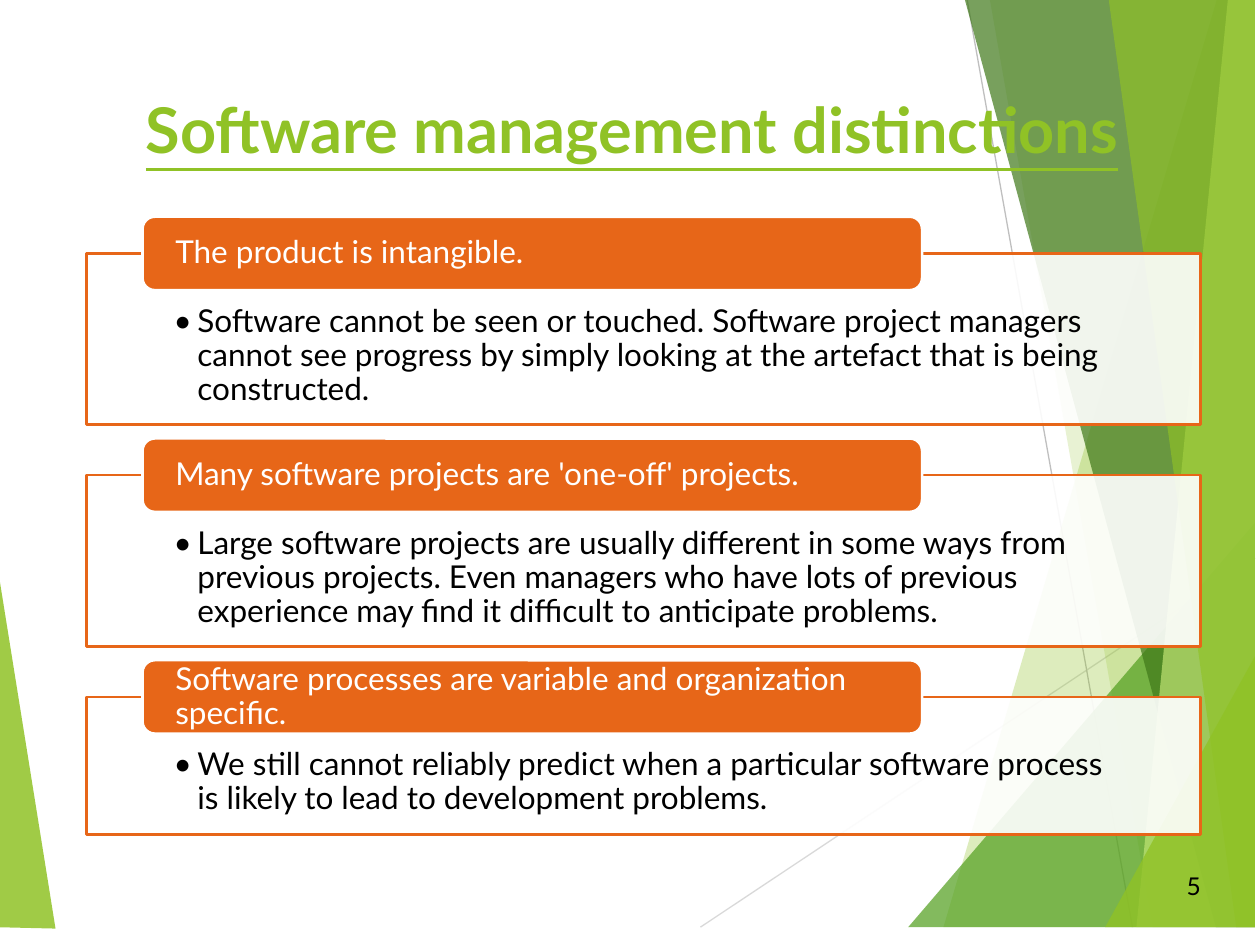
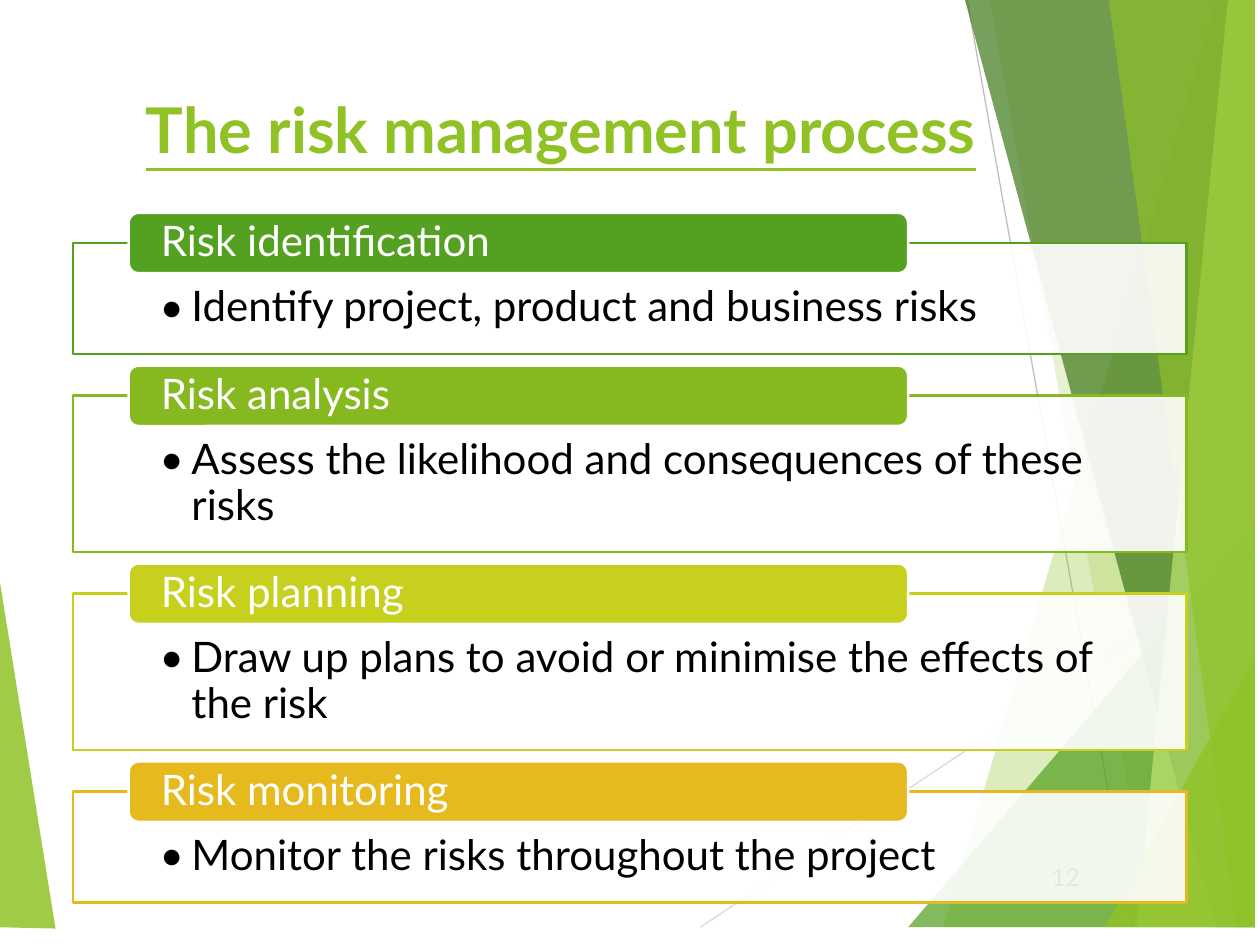
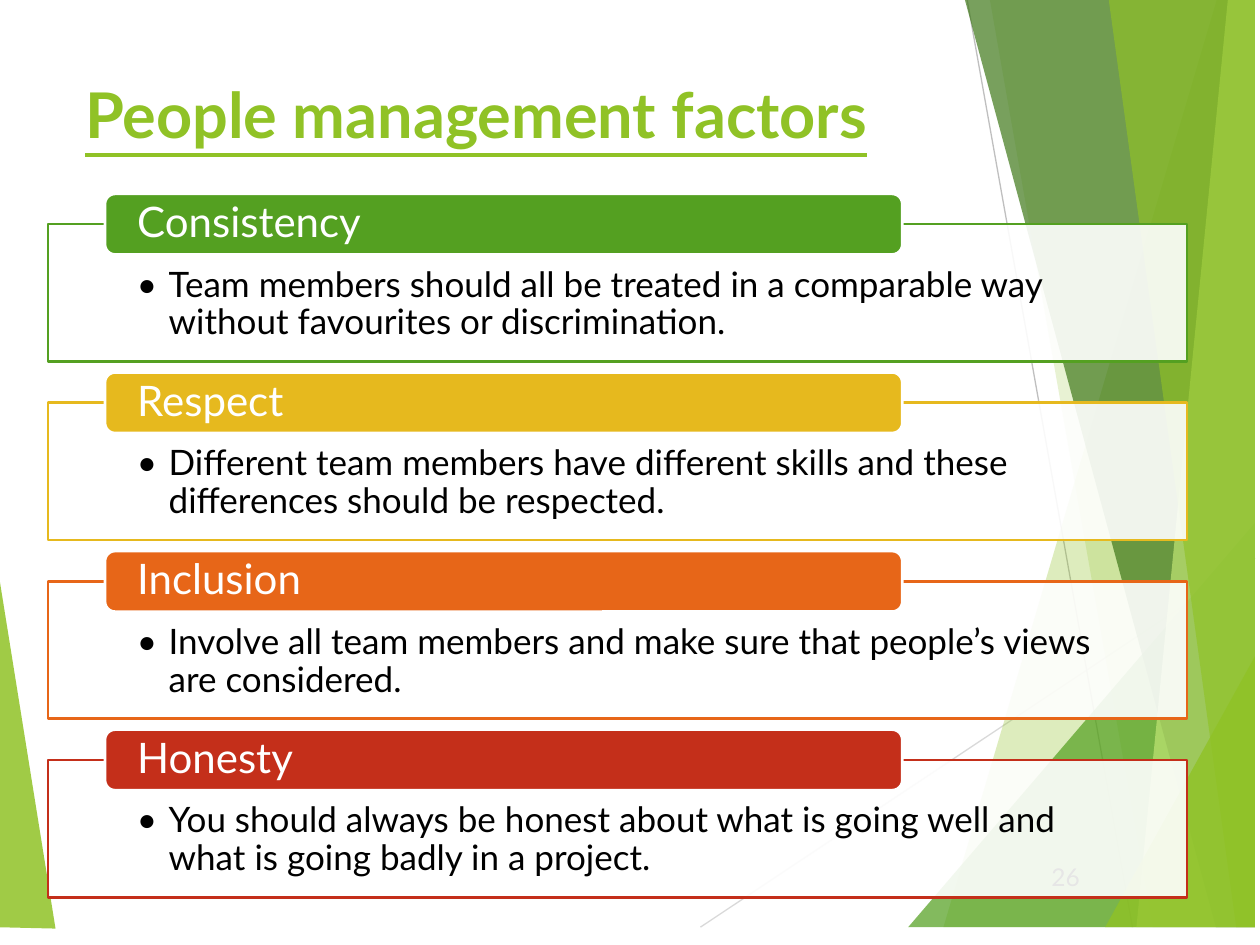
"""Build three slides of titled cards on a faceted green backdrop."""
from dataclasses import dataclass

from lxml.etree import SubElement
from pptx import Presentation
from pptx.dml.color import RGBColor
from pptx.enum.shapes import MSO_CONNECTOR as Connector, MSO_SHAPE as Shape
from pptx.enum.text import MSO_ANCHOR as Anchor, PP_ALIGN as Align
from pptx.oxml.ns import qn
from pptx.util import Cm, Pt


@dataclass(frozen=True)
class Theme:
    font: str = "Lato"
    white: str = "FFFFFF"
    black: str = "000000"
    lime: str = "90C226"
    pale_lime: str = "C0E474"
    green: str = "54A021"
    dark_green: str = "3F7819"
    leaf: str = "86B820"
    yellow: str = "C7D01D"
    gold: str = "E6B91E"
    orange: str = "E76618"
    red: str = "C42F1A"
    light_gray: str = "D9D9D9"
    gray: str = "BFBFBF"
    title_size: int = 36
    large_size: int = 24
    medium_size: int = 20
    small_size: int = 18
    number_size: int = 14
    card_line: float = 1.5
    thin_line: float = 0.75
    card_opacity: int = 90


@dataclass(frozen=True)
class CardStyle:
    left: float
    top: float
    width: float
    gap: float
    tab_height: float
    text_top: float
    indent: float
    tab_size: int
    body_size: int


THEME = Theme()
BACKDROP_TOP, BACKDROP_BOTTOM, BACKDROP_RIGHT = -0.38, 18.69, 25.3


def band(top_x, bottom_x):
    return [(top_x, BACKDROP_TOP), (bottom_x, BACKDROP_BOTTOM),
            (BACKDROP_RIGHT, BACKDROP_BOTTOM), (BACKDROP_RIGHT, BACKDROP_TOP)]


def wedge(bottom_x, right_y):
    return [(bottom_x, BACKDROP_BOTTOM), (BACKDROP_RIGHT, right_y),
            (BACKDROP_RIGHT, BACKDROP_BOTTOM)]


LEFT_FACET = [(-0.15, 10.8), (1.12, 18.72), (-0.15, BACKDROP_BOTTOM)]
RIGHT_FACETS = [
    (band(24.64, 19.02), THEME.lime, 30),
    (band(19.89, 23.24), THEME.lime, 20),
    (wedge(18.31, 10.54), THEME.green, 72),
    (band(19.35, 24.51), THEME.dark_green, 70),
    (band(24.79, 22.91), THEME.pale_lime, 70),
    (band(22.3, 24.92), THEME.lime, 65),
    (wedge(22.28, 13.23), THEME.lime, 80),
]


class Deck:
    def __init__(self, theme):
        self.theme = theme
        self.presentation = Presentation()
        self.presentation.slide_width = Cm(25.4)
        self.presentation.slide_height = Cm(19.05)
        self.slide = None

    def add_slide(self):
        layout = self.presentation.slide_layouts[6]
        self.slide = self.presentation.slides.add_slide(layout)
        self.facet(LEFT_FACET, self.theme.lime, 85)
        self.line((14.12, BACKDROP_BOTTOM), (BACKDROP_RIGHT, 11.25), self.theme.light_gray)
        self.line((19.43, BACKDROP_TOP), (22.83, BACKDROP_BOTTOM), self.theme.gray)
        for points, color, opacity in RIGHT_FACETS:
            self.facet(points, color, opacity)

    def paint(self, shape, color, opacity=100, outline=None):
        shape.shadow.inherit = False
        shape.fill.solid()
        shape.fill.fore_color.rgb = RGBColor.from_string(color)
        if opacity < 100:
            fill_color = shape.element.spPr.find(f"{qn('a:solidFill')}/{qn('a:srgbClr')}")
            SubElement(fill_color, qn("a:alpha"), val=str(opacity * 1000))
        if outline:
            shape.line.color.rgb = RGBColor.from_string(outline)
            shape.line.width = Pt(self.theme.card_line)
        else:
            shape.line.fill.background()

    def facet(self, points, color, opacity):
        corners = [(Cm(x), Cm(y)) for x, y in points]
        builder = self.slide.shapes.build_freeform(*corners[0], scale=1.0)
        builder.add_line_segments(corners[1:], close=True)
        self.paint(builder.convert_to_shape(), color, opacity)

    def line(self, start, end, color):
        connector = self.slide.shapes.add_connector(
            Connector.STRAIGHT, *map(Cm, start), *map(Cm, end))
        connector.line.color.rgb = RGBColor.from_string(color)
        connector.line.width = Pt(self.theme.thin_line)
        SubElement(connector.element.spPr, qn("a:effectLst"))

    def set_text(self, shape, text, size, color, anchor=Anchor.TOP, align=Align.LEFT,
                 insets=(0.25, 0.13)):
        frame = shape.text_frame
        frame.word_wrap = True
        frame.vertical_anchor = anchor
        frame.margin_left = frame.margin_right = Cm(insets[0])
        frame.margin_top = frame.margin_bottom = Cm(insets[1])
        paragraph = frame.paragraphs[0]
        paragraph.alignment = align
        run = paragraph.add_run()
        run.text = text
        run.font.name = self.theme.font
        run.font.size = Pt(size)
        run.font.color.rgb = RGBColor.from_string(color)
        return paragraph

    def bullet(self, paragraph, indent):
        properties = paragraph._p.get_or_add_pPr()
        properties.set("marL", str(Cm(indent)))
        properties.set("indent", str(-Cm(indent)))
        SubElement(properties, qn("a:buFont"), typeface=self.theme.font)
        SubElement(properties, qn("a:buChar"), char="•")

    def title(self, text, left=2.69, top=1.7):
        box = self.slide.shapes.add_textbox(Cm(left), Cm(top), Cm(21.23), Cm(1.9))
        paragraph = self.set_text(box, text, self.theme.title_size, self.theme.lime)
        font = paragraph.runs[0].font
        font.bold = font.underline = True

    def page_number(self, number, left=20.6, top=17.17):
        box = self.slide.shapes.add_textbox(Cm(left), Cm(top), Cm(1.42), Cm(1.02))
        self.set_text(box, str(number), self.theme.number_size, self.theme.black,
                      Anchor.MIDDLE, Align.RIGHT)

    def card(self, style, top, height, color, heading, body):
        theme = self.theme
        panel = self.slide.shapes.add_shape(
            Shape.RECTANGLE, Cm(style.left), Cm(top), Cm(style.width), Cm(height))
        self.paint(panel, theme.white, theme.card_opacity, color)
        paragraph = self.set_text(panel, body, style.body_size, theme.black,
                                  insets=(style.width * 0.078, style.text_top))
        panel.text_frame.margin_bottom = Cm(0.4)
        self.bullet(paragraph, style.indent)
        paragraph.line_spacing = 0.9

        tab = self.slide.shapes.add_shape(
            Shape.ROUNDED_RECTANGLE, Cm(style.left + style.width * 0.05),
            Cm(top - style.tab_height / 2), Cm(style.width * 0.7), Cm(style.tab_height))
        self.paint(tab, color, outline=theme.white)
        paragraph = self.set_text(tab, heading, style.tab_size, theme.white,
                                  Anchor.MIDDLE, insets=(0.59, 0))
        paragraph.line_spacing = 0.9

    def cards(self, style, items):
        top = style.top
        for height, color, heading, body in items:
            self.card(style, top, height, color, heading, body)
            top += height + style.gap


def distinctions_slide(deck):
    theme = deck.theme
    deck.add_slide()
    deck.title("Software management distinctions")
    deck.page_number(5, 23.04, 17.35)
    style = CardStyle(left=1.75, top=5.11, width=22.45, gap=1.02, tab_height=1.48,
                      text_top=1.04, indent=0.48, tab_size=theme.small_size,
                      body_size=theme.small_size)
    deck.cards(style, [
        (3.45, theme.orange, "The product is intangible.",
         "Software cannot be seen or touched. Software project managers cannot see "
         "progress by simply looking at the artefact that is being constructed."),
        (3.45, theme.orange, "Many software projects are 'one-off' projects.",
         "Large software projects are usually different in some ways from previous "
         "projects. Even managers who have lots of previous experience may find it "
         "difficult to anticipate problems."),
        (2.77, theme.orange, "Software processes are variable and organization specific.",
         "We still cannot reliably predict when a particular software process is "
         "likely to lead to development problems."),
    ])


def risk_slide(deck):
    theme = deck.theme
    deck.add_slide()
    deck.title("The risk management process")
    deck.page_number(12)
    style = CardStyle(left=1.47, top=4.9, width=22.45, gap=0.84, tab_height=1.22,
                      text_top=0.86, indent=0.64, tab_size=theme.large_size,
                      body_size=theme.large_size)
    deck.cards(style, [
        (2.24, theme.green, "Risk identification",
         "Identify project, product and business risks"),
        (3.15, theme.leaf, "Risk analysis",
         "Assess the likelihood and consequences of these risks"),
        (3.15, theme.yellow, "Risk planning",
         "Draw up plans to avoid or minimise the effects of the risk"),
        (2.24, theme.gold, "Risk monitoring",
         "Monitor the risks throughout the project"),
    ])


def people_slide(deck):
    theme = deck.theme
    deck.add_slide()
    deck.title("People management factors", 1.47, 1.4)
    deck.page_number(26)
    style = CardStyle(left=0.97, top=4.52, width=22.96, gap=0.83, tab_height=1.22,
                      text_top=0.86, indent=0.64, tab_size=theme.large_size,
                      body_size=theme.medium_size)
    factors = [
        (theme.green, "Consistency",
         "Team members should all be treated in a comparable way without "
         "favourites or discrimination."),
        (theme.gold, "Respect",
         "Different team members have different skills and these differences "
         "should be respected."),
        (theme.orange, "Inclusion",
         "Involve all team members and make sure that people’s views are considered."),
        (theme.red, "Honesty",
         "You should always be honest about what is going well and what is going "
         "badly in a project."),
    ]
    deck.cards(style, [(2.77, *factor) for factor in factors])


def main():
    deck = Deck(THEME)
    distinctions_slide(deck)
    risk_slide(deck)
    people_slide(deck)
    deck.presentation.save("out.pptx")


if __name__ == "__main__":
    main()
